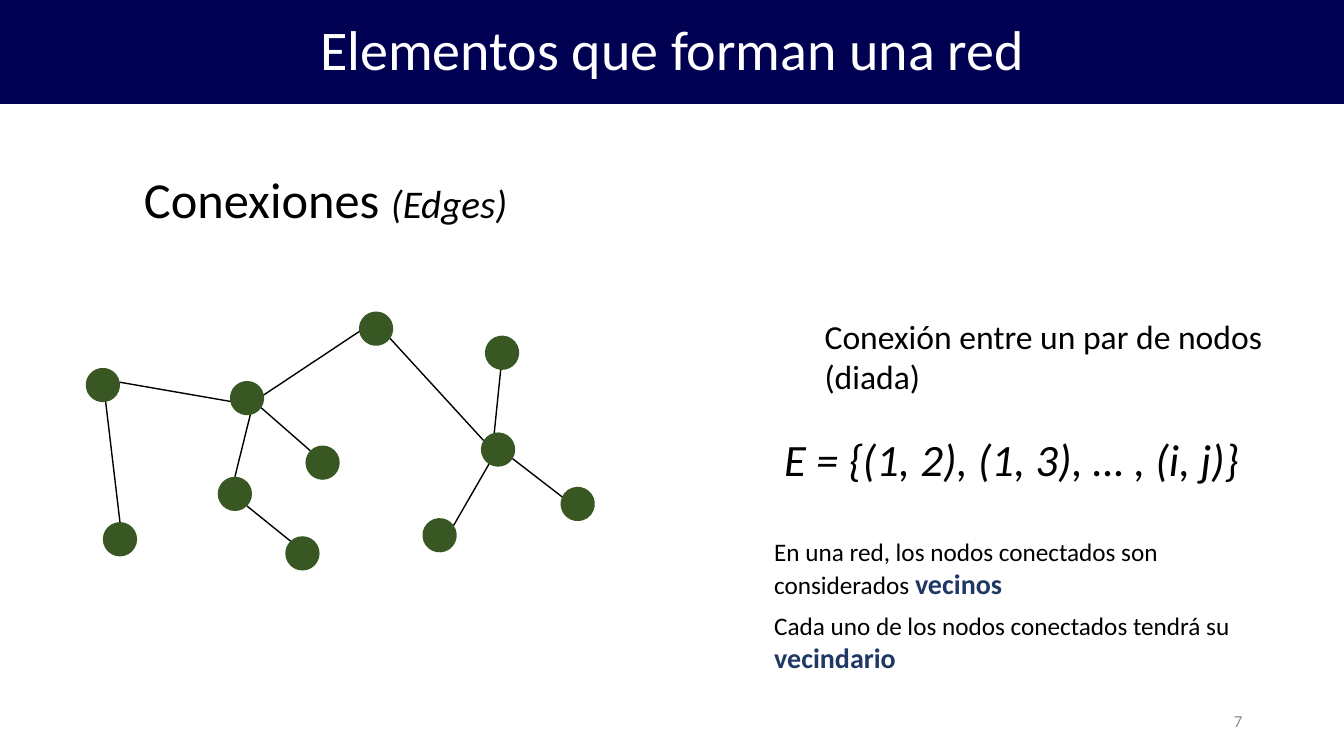
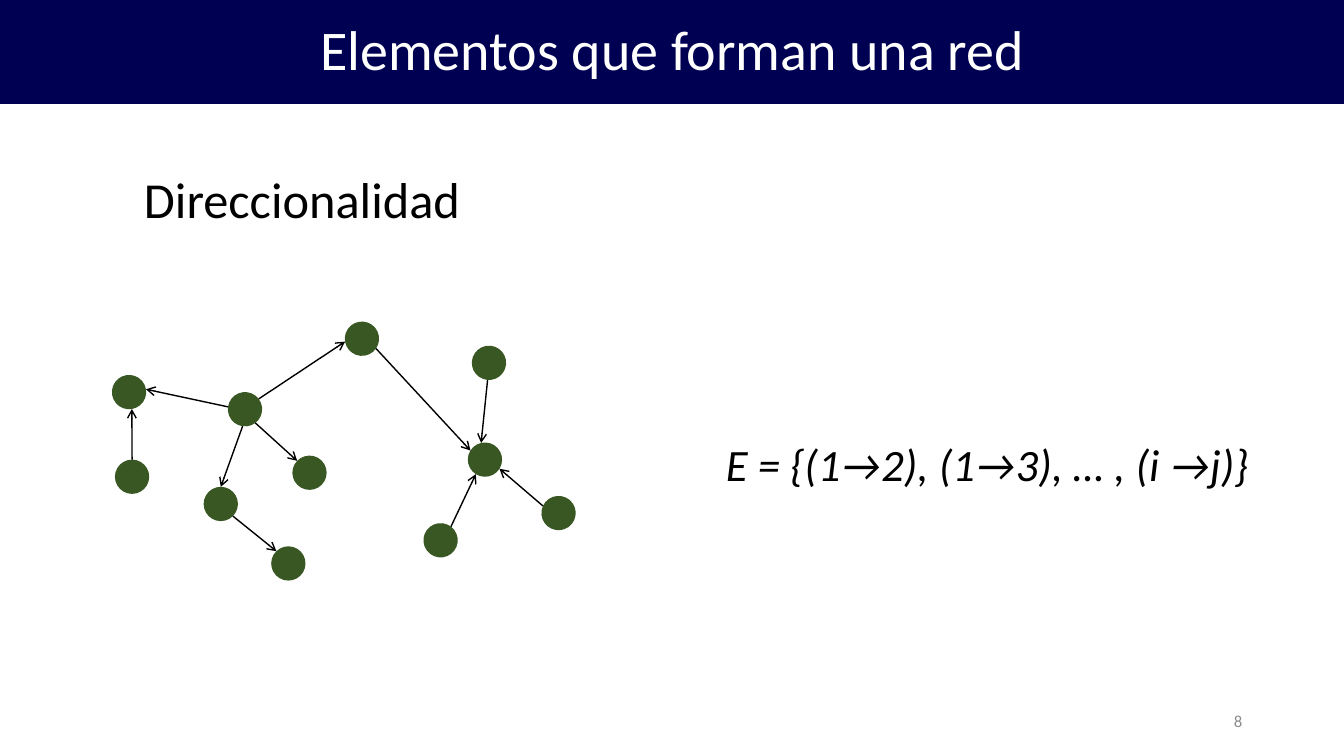
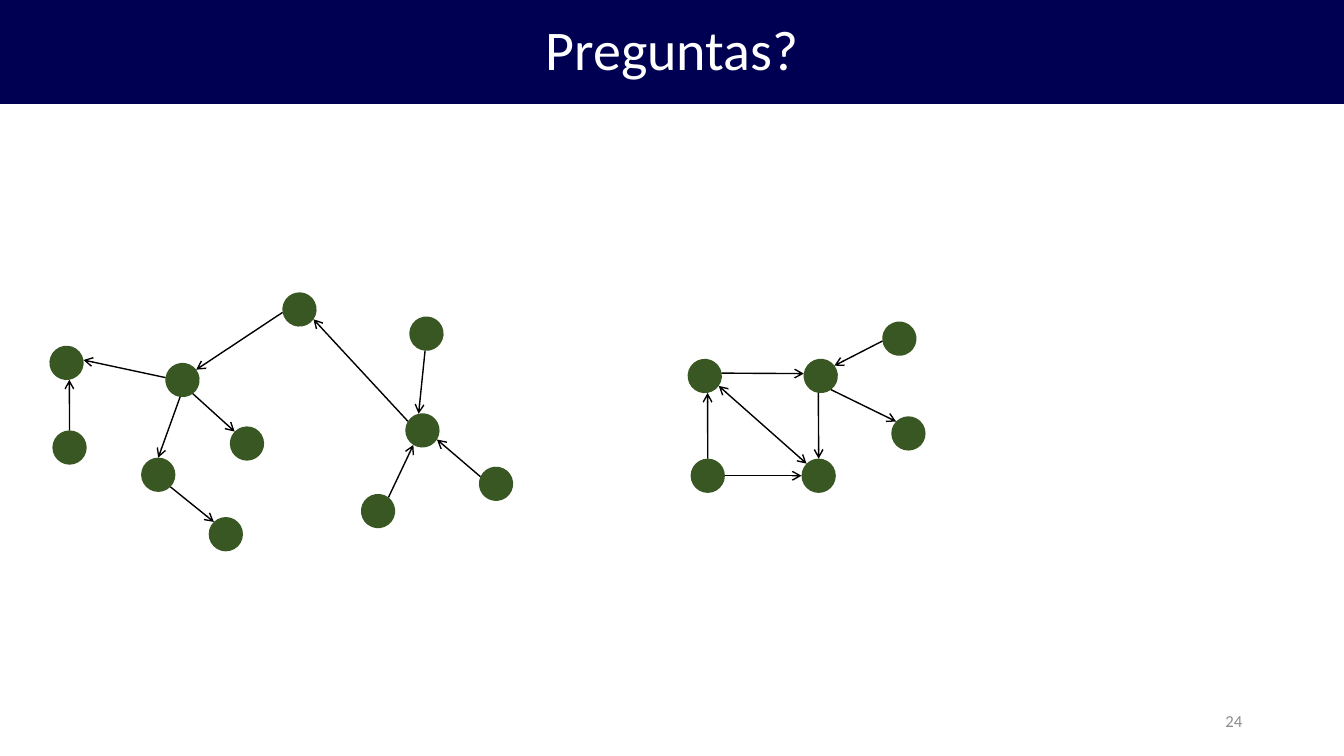
from dataclasses import dataclass, field, replace
from math import atan2, cos, degrees, radians, remainder, sin
from typing import NamedTuple

from lxml.etree import SubElement
from pptx import Presentation
from pptx.dml.color import RGBColor
from pptx.enum.shapes import MSO_CONNECTOR, MSO_SHAPE
from pptx.enum.text import MSO_ANCHOR, MSO_AUTO_SIZE, PP_ALIGN
from pptx.oxml.ns import qn
from pptx.slide import Slide
from pptx.text.text import TextFrame
from pptx.util import Inches, Pt


@dataclass(frozen=True)
class Theme:
    font: str = "Calibri"
    band: RGBColor = RGBColor(0x00, 0x00, 0x53)
    on_band: RGBColor = RGBColor(0xFF, 0xFF, 0xFF)
    ink: RGBColor = RGBColor(0x00, 0x00, 0x00)
    term: RGBColor = RGBColor(0x20, 0x38, 0x64)
    page: RGBColor = RGBColor(0x8C, 0x8C, 0x8C)
    node: RGBColor = RGBColor(0x38, 0x57, 0x23)
    title_pt: int = 40
    heading_pt: int = 36
    formula_pt: int = 32
    aside_pt: int = 28
    body_pt: int = 24
    term_pt: int = 20
    note_pt: int = 18
    page_pt: int = 12
    edge_pt: int = 1


THEME = Theme()
SLIDE_WIDTH, SLIDE_HEIGHT, BAND_HEIGHT = 13.33, 7.5, 1.03
NODE_SIZE = 0.34
ELLIPSE_SITES = 8


class Span(NamedTuple):
    text: str
    size: int
    color: RGBColor = THEME.ink
    bold: bool = False
    italic: bool = False


class Box(NamedTuple):
    left: float
    top: float
    width: float
    height: float


@dataclass(frozen=True)
class Caption:
    box: Box
    spans: list[Span]
    wrap: bool = True
    align: PP_ALIGN = PP_ALIGN.LEFT
    anchor: MSO_ANCHOR = MSO_ANCHOR.TOP


class Node(NamedTuple):
    """Centre in inches, and the turn of its connection sites in degrees."""
    x: float
    y: float
    turn: float = 0

    def site_facing(self, other: "Node") -> tuple[int, float, float]:
        """Index and position of the connection site nearest to the other node."""
        heading = degrees(atan2(other.y - self.y, other.x - self.x))

        def angle(site: int) -> float:
            return self.turn - 90 - site * 360 / ELLIPSE_SITES

        site = min(range(ELLIPSE_SITES),
                   key=lambda index: abs(remainder(angle(index) - heading, 360)))
        direction = radians(angle(site))
        radius = NODE_SIZE / 2
        return site, self.x + radius * cos(direction), self.y + radius * sin(direction)


class Edge(NamedTuple):
    start: str
    end: str
    mutual: bool = False


@dataclass(frozen=True)
class Network:
    nodes: dict[str, Node]
    edges: list[Edge]
    directed: bool = True

    def shifted(self, dx: float, dy: float) -> "Network":
        moved = {name: Node(node.x + dx, node.y + dy, node.turn)
                 for name, node in self.nodes.items()}
        return replace(self, nodes=moved)

    def reversing(self, *pairs: str) -> "Network":
        edges = [Edge(edge.end, edge.start) if edge.start + edge.end in pairs else edge
                 for edge in self.edges]
        return replace(self, edges=edges)


@dataclass(frozen=True)
class Page:
    title: str
    number: int
    networks: list[Network]
    captions: list[Caption] = field(default_factory=list)


def write(frame: TextFrame, spans: list[Span], align: PP_ALIGN) -> None:
    paragraph = frame.paragraphs[0]
    paragraph.alignment = align
    for span in spans:
        run = paragraph.add_run()
        run.text = span.text
        formats = {"name": THEME.font, "size": Pt(span.size),
                   "bold": span.bold, "italic": span.italic}
        for attribute, value in formats.items():
            setattr(run.font, attribute, value)
        run.font.color.rgb = span.color


def add_title(slide: Slide, text: str) -> None:
    title = slide.shapes.title
    bounds = {"left": 0, "top": 0, "width": SLIDE_WIDTH, "height": BAND_HEIGHT}
    for attribute, value in bounds.items():
        setattr(title, attribute, Inches(value))
    title.fill.solid()
    title.fill.fore_color.rgb = THEME.band
    frame = title.text_frame
    frame.auto_size = MSO_AUTO_SIZE.NONE
    frame.vertical_anchor = MSO_ANCHOR.MIDDLE
    write(frame, [Span(text, THEME.title_pt, THEME.on_band)], PP_ALIGN.CENTER)
    frame.paragraphs[0].line_spacing = 0.9


def add_caption(slide: Slide, caption: Caption) -> None:
    frame = slide.shapes.add_textbox(*map(Inches, caption.box)).text_frame
    frame.word_wrap = caption.wrap
    frame.vertical_anchor = caption.anchor
    write(frame, caption.spans, caption.align)


def add_network(slide: Slide, network: Network) -> None:
    shape_ids: dict[str, int] = {}
    for name, node in network.nodes.items():
        dot = slide.shapes.add_shape(
            MSO_SHAPE.OVAL, Inches(node.x - NODE_SIZE / 2), Inches(node.y - NODE_SIZE / 2),
            Inches(NODE_SIZE), Inches(NODE_SIZE))
        dot.rotation = node.turn
        dot.shadow.inherit = False
        dot.fill.solid()
        dot.fill.fore_color.rgb = THEME.node
        dot.line.fill.background()
        shape_ids[name] = dot.shape_id
    for edge in network.edges:
        add_edge(slide, network, edge, shape_ids)


def add_edge(slide: Slide, network: Network, edge: Edge, shape_ids: dict[str, int]) -> None:
    """Draw an edge glued to the facing sites of its two nodes."""
    start, end = network.nodes[edge.start], network.nodes[edge.end]
    start_site, *start_point = start.site_facing(end)
    end_site, *end_point = end.site_facing(start)
    link = slide.shapes.add_connector(
        MSO_CONNECTOR.STRAIGHT, *map(Inches, start_point + end_point))
    link.line.width = Pt(THEME.edge_pt)
    link.line.color.rgb = THEME.ink
    glue = link._element.nvCxnSpPr.cNvCxnSpPr
    for tag, name, site in (("a:stCxn", edge.start, start_site),
                            ("a:endCxn", edge.end, end_site)):
        SubElement(glue, qn(tag), id=str(shape_ids[name]), idx=str(site))
    properties = link._element.spPr
    outline = properties.find(qn("a:ln"))
    if edge.mutual:
        SubElement(outline, qn("a:headEnd"), type="arrow")
    if network.directed:
        SubElement(outline, qn("a:tailEnd"), type="arrow")
    SubElement(properties, qn("a:effectLst"))


def add_page(deck: Presentation, page: Page) -> None:
    slide = deck.slides.add_slide(deck.slide_layouts.get_by_name("Title Only"))
    add_title(slide, page.title)
    page_number = Caption(Box(9.42, 6.95, 3, 0.4),
                          [Span(str(page.number), THEME.page_pt, THEME.page)],
                          align=PP_ALIGN.RIGHT, anchor=MSO_ANCHOR.MIDDLE)
    for caption in [page_number, *page.captions]:
        add_caption(slide, caption)
    for network in page.networks:
        add_network(slide, network)


def heading(*spans: Span) -> Caption:
    return Caption(Box(1.33, 1.62, 3.84 if len(spans) > 1 else 3.37, 0.71),
                   list(spans), wrap=False)


def formula(box: Box, text: str) -> Caption:
    return Caption(box, [Span(text, THEME.formula_pt, italic=True)], wrap=False)


def neighbour_note(top: float, text: str, term: str) -> Caption:
    return Caption(Box(7.58, top, 5.39, 0.74),
                   [Span(text, THEME.note_pt),
                    Span(term, THEME.term_pt, THEME.term, bold=True)])


TREE_EDGES = [Edge(*pair) for pair in
              ("EF", "GF", "EA", "EH", "EI", "AB", "ID", "CD", "JD", "KD")]

UNDIRECTED = Network({
    "A": Node(2.33, 4.9), "B": Node(3, 5.49, 315.8), "C": Node(4.36, 5.31, 325),
    "D": Node(4.94, 4.46, 347.1), "E": Node(2.45, 3.95, 34.1), "F": Node(1.02, 3.82, 350.5),
    "G": Node(1.19, 5.35), "H": Node(3.2, 4.59, 314.1), "I": Node(3.73, 3.26, 260),
    "J": Node(4.98, 3.5, 4.7), "K": Node(5.73, 5, 24.5),
}, TREE_EDGES, directed=False)

DIRECTED = Network({
    "A": Node(2.19, 5), "B": Node(2.86, 5.59, 315.8), "C": Node(4.37, 5.36, 307.2),
    "D": Node(4.81, 4.56, 347.1), "E": Node(2.43, 4.06, 53), "F": Node(1.28, 3.89, 350.5),
    "G": Node(1.31, 4.73), "H": Node(3.07, 4.69, 314.1), "I": Node(3.59, 3.36, 260),
    "J": Node(4.85, 3.6, 4.7), "K": Node(5.54, 5.09, 24.5),
}, TREE_EDGES)

CYCLIC = Network({
    "P": Node(8.12, 4.72), "Q": Node(8.14, 3.73, 53), "R": Node(6.99, 3.73, 350.5),
    "S": Node(7.02, 4.72), "T": Node(9.01, 4.3, 314.1), "U": Node(8.92, 3.36, 262),
}, [Edge(*pair) for pair in ("RQ", "SR", "QP", "QT", "UQ", "SP")]
    + [Edge("P", "R", mutual=True)])

PAGES = [
    Page("Elementos que forman una red", 7, [UNDIRECTED], [
        heading(Span("Conexiones ", THEME.heading_pt),
                Span("(Edges)", THEME.aside_pt, italic=True)),
        Caption(Box(8.08, 3.08, 4.88, 0.91),
                [Span("Conexión entre un par de nodos (diada)", THEME.body_pt)]),
        formula(Box(7.68, 4.23, 4.77, 0.64), "E = {(1, 2), (1, 3), … , (i, j)}"),
        neighbour_note(5.27, "En una red, los nodos conectados son considerados ", "vecinos"),
        neighbour_note(6.01, "Cada uno de los nodos conectados tendrá su ", "vecindario"),
    ]),
    Page("Elementos que forman una red", 8, [DIRECTED], [
        heading(Span("Direccionalidad", THEME.heading_pt)),
        formula(Box(7.1, 4.28, 5.55, 0.64), "E = {(1→2), (1→3), … , (i →j)}"),
    ]),
    Page("Preguntas?", 24, [DIRECTED.shifted(-0.62, -0.29).reversing("EI", "ID"), CYCLIC]),
]


def main() -> None:
    deck = Presentation()
    deck.slide_width, deck.slide_height = Inches(SLIDE_WIDTH), Inches(SLIDE_HEIGHT)
    for page in PAGES:
        add_page(deck, page)
    deck.save("out.pptx")


if __name__ == "__main__":
    main()
